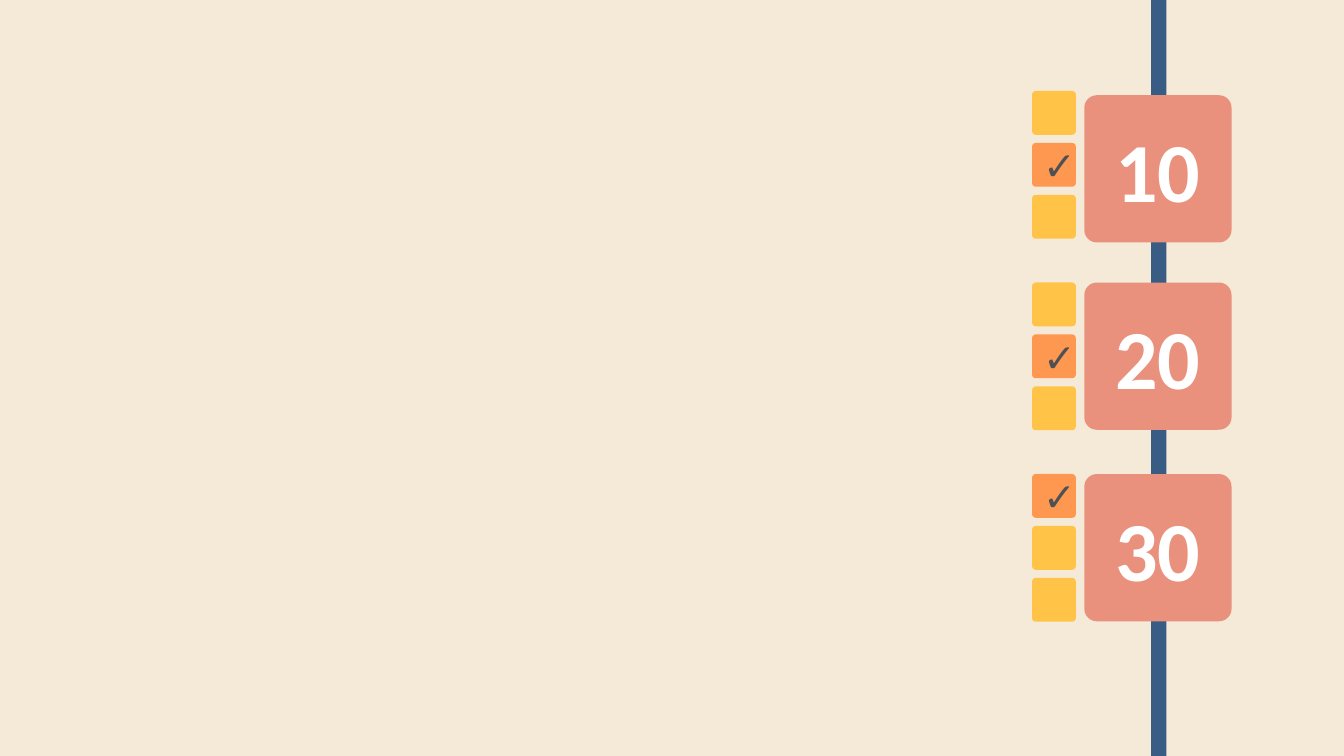
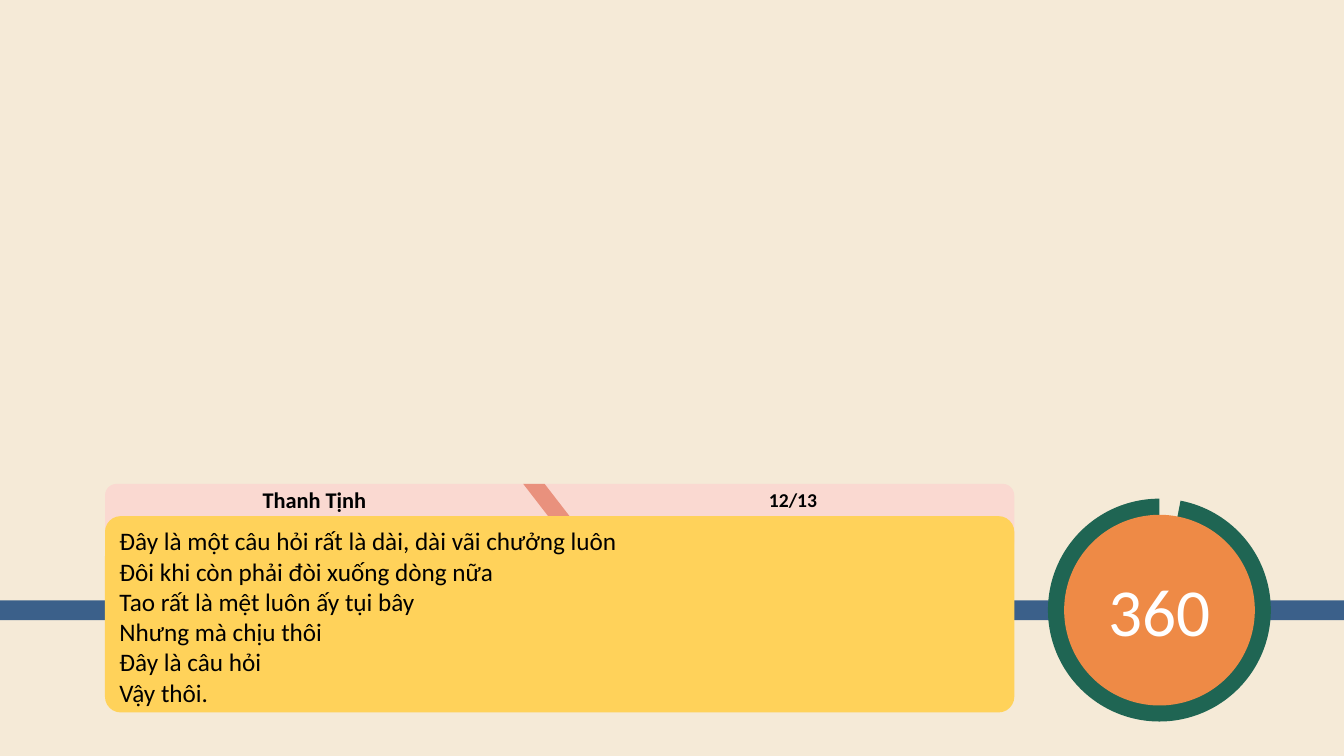
"""Build a score board slide and a question slide with a countdown."""
import pptx
import pptx.dml.color
import pptx.enum.shapes
import pptx.enum.text
import pptx.util

Pt = pptx.util.Pt
SHAPES = pptx.enum.shapes.MSO_SHAPE
ALIGN = pptx.enum.text.PP_ALIGN
ANCHOR = pptx.enum.text.MSO_ANCHOR

SLIDE_WIDTH, SLIDE_HEIGHT = 960, 540
BACKGROUND = "F5EAD7"
SCORE_LINE = "395C85"
QUESTION_LINE = "3B608A"
CORAL = "E9917D"
PINK = "FAD9D1"
AMBER = "FFC447"
ORANGE = "FE9750"
YELLOW = "FFD25A"
GREEN = "1F6553"
TIMER = "EE8A46"
WHITE = "FFFFFF"
BLACK = "000000"
GREY = "4D5156"

CORNER = 0.085
SCORES = [("10", 68, 1), ("20", 201.8, 1), ("30", 338.6, 0)]
QUESTION = [
    "Đây là một câu hỏi rất là dài, dài vãi chưởng luôn",
    "Đôi khi còn phải đòi xuống dòng nữa",
    "Tao rất là mệt luôn ấy tụi bây",
    "Nhưng mà chịu thôi",
    "Đây là câu hỏi",
    "Vậy thôi.",
]


def paint(fill, color):
    fill.solid()
    fill.fore_color.rgb = pptx.dml.color.RGBColor.from_string(color)


def finish_shape(shape, color):
    paint(shape.fill, color)
    shape.line.fill.background()
    shape.shadow.inherit = False
    return shape


def add_block(slide, kind, left, top, width, height, color, adjustments=()):
    shape = slide.shapes.add_shape(kind, Pt(left), Pt(top), Pt(width), Pt(height))
    for index, value in enumerate(adjustments):
        shape.adjustments[index] = value
    return finish_shape(shape, color)


def write_text(shape, *lines, size, color=BLACK, font="Calibri", bold=False,
               align=ALIGN.CENTER, anchor=ANCHOR.MIDDLE):
    frame = shape.text_frame
    frame.word_wrap = True
    frame.vertical_anchor = anchor
    frame.text = "\n".join(lines)
    for paragraph in frame.paragraphs:
        paragraph.alignment = align
        paragraph.font.size = Pt(size)
        paragraph.font.name = font
        paragraph.font.bold = bold
        paint(paragraph.font.fill, color)


def add_label(slide, left, top, width, height, text, size):
    box = slide.shapes.add_textbox(Pt(left), Pt(top), Pt(width), Pt(height))
    write_text(box, text, size=size, bold=True, anchor=ANCHOR.TOP)


def add_slash(slide, left, top, width, height, slant, color):
    builder = slide.shapes.build_freeform(Pt(left), Pt(top))
    builder.add_line_segments([
        (Pt(left + width), Pt(top)),
        (Pt(left + width + slant), Pt(top + height)),
        (Pt(left + slant), Pt(top + height)),
    ], close=True)
    finish_shape(builder.convert_to_shape(), color)


def add_choices(slide, left, top, checked):
    for index in range(3):
        color = ORANGE if index == checked else AMBER
        choice = add_block(slide, SHAPES.ROUNDED_RECTANGLE, left, top + 37.1 * index,
                           31.3, 31.3, color, [CORNER])
        if index == checked:
            write_text(choice, "✓", size=28, color=GREY, font="Arial")


def add_timer(slide, left, top, diameter, band, text):
    degree = 0.6
    add_block(slide, SHAPES.PIE, left, top, diameter, diameter, GREEN,
              [280.94 * degree, 270 * degree])
    inner = diameter - 2 * band
    disc = add_block(slide, SHAPES.OVAL, left + band, top + band, inner, inner, TIMER)
    write_text(disc, text, size=48, color=WHITE)


def build_scores(slide):
    add_block(slide, SHAPES.RECTANGLE, 822.2, 0, 11, SLIDE_HEIGHT, SCORE_LINE)
    for row, (score, top, checked) in enumerate(SCORES):
        card = add_block(slide, SHAPES.ROUNDED_RECTANGLE, 774.5, top, 105.2, 105.2,
                         CORAL, [CORNER])
        write_text(card, score, size=60, color=WHITE, bold=True)
        add_choices(slide, 737.2, 65 + 136.8 * row, checked)


def build_question(slide):
    left, width = 75, 649.5
    add_block(slide, SHAPES.RECTANGLE, 0, 428.8, SLIDE_WIDTH, 14.2, QUESTION_LINE)
    add_block(slide, SHAPES.ROUNDED_RECTANGLE, left, 345.6, width, 49.7, PINK)
    add_timer(slide, 748.6, 356.2, 159.2, 11.5, "360")
    add_label(slide, 75.6, 343.4, 298, 26.6, "Thanh Tịnh", 16)
    add_label(slide, 408.5, 344.9, 316, 24.5, "12/13", 14)
    add_slash(slide, 373.7, 345.6, 15.3, 25, 19.3, CORAL)
    card = add_block(slide, SHAPES.ROUNDED_RECTANGLE, left, 368.7, width, 140.2,
                     YELLOW, [0.08])
    write_text(card, *QUESTION, size=18, align=ALIGN.LEFT, anchor=ANCHOR.TOP)


def main():
    presentation = pptx.Presentation()
    presentation.slide_width = Pt(SLIDE_WIDTH)
    presentation.slide_height = Pt(SLIDE_HEIGHT)
    paint(presentation.slide_master.background.fill, BACKGROUND)
    for build in (build_scores, build_question):
        build(presentation.slides.add_slide(presentation.slide_layouts[6]))
    presentation.save("out.pptx")


if __name__ == "__main__":
    main()
